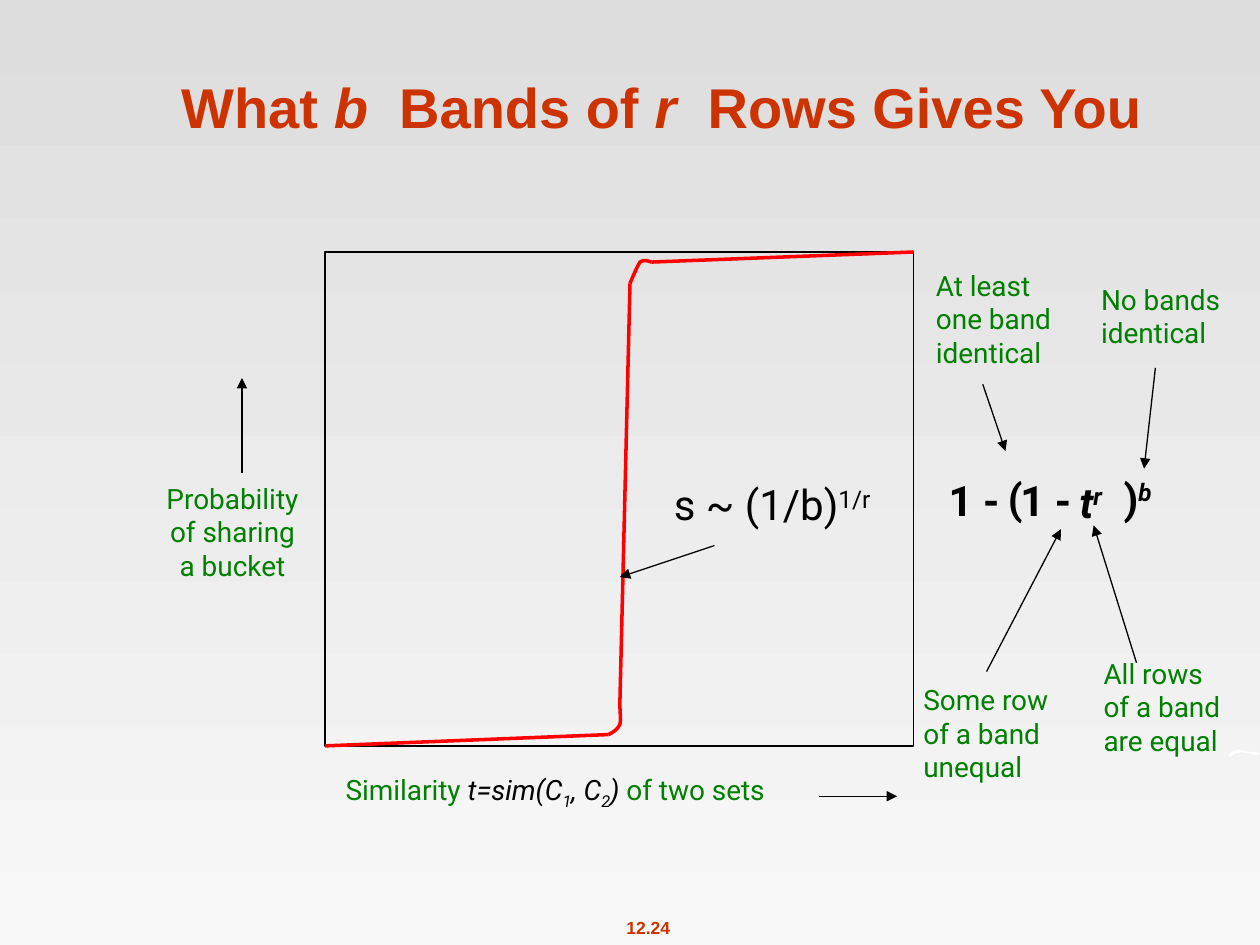
from dataclasses import dataclass

from lxml import etree
from pptx import Presentation
from pptx import util as u
from pptx.dml.color import RGBColor
from pptx.enum import shapes, text
from pptx.oxml.ns import qn

PX = 9144


@dataclass(frozen=True)
class Theme:
    """Colours, fonts and type sizes of the slide."""
    ink: str = "000000"
    accent: str = "CC3300"
    label: str = "008000"
    curve: str = "FF0000"
    white: str = "FFFFFF"
    top: str = "DDDDDD"
    bottom: str = "F8F8F8"
    head: str = "Arial"
    body: str = "Roboto"
    title_pt: int = 32
    formula_pt: int = 24
    label_pt: int = 16
    footer_pt: int = 10
    thin: float = 0.75
    thick: float = 2


T = Theme()
LABEL = dict(font=T.body, size=T.label_pt, color=T.label)
FORMULA = dict(font=T.body, size=T.formula_pt, color=T.ink)
BOLD = dict(FORMULA, bold=True)
HEAD = dict(font=T.head, color=T.accent, bold=True)


def emu(*lengths):
    """Turn px lengths into EMU."""
    return [u.Emu(round(v * PX)) for v in lengths]


def shift(box, x, y):
    """Move a point from a region's own origin to the slide's."""
    return box[0] + x, box[1] + y


def write(p, t, font, size, color, bold=False, italic=False, base=0, gap=0):
    """Add one formatted run; base is a baseline shift in percent, gap is extra pt."""
    r = p.add_run()
    r.text = t
    r.font.name, r.font.size = font, u.Pt(size)
    r.font.bold, r.font.italic = bold, italic
    r.font.color.rgb = RGBColor.from_string(color)
    if base:
        r.font._element.set("baseline", str(base * 1000))
    if gap:
        r.font._element.set("spc", str(round(gap * 100)))


def add_text(s, box, place, paras, fmt, align="LEFT", wrap=False, grow=True,
             anchor="TOP", left=10, top=5):
    """Add a text box whose paragraphs are strings or lists of (text, format) runs."""
    x, y, w, h = place
    tf = s.shapes.add_textbox(*emu(*shift(box, x, y), w, h)).text_frame
    tf.word_wrap = wrap
    tf.auto_size = getattr(text.MSO_AUTO_SIZE, "SHAPE_TO_FIT_TEXT" if grow else "NONE")
    tf.vertical_anchor = getattr(text.MSO_ANCHOR, anchor)
    tf.margin_left, tf.margin_top = emu(left, top)
    for i, runs in enumerate(paras):
        p = tf.add_paragraph() if i else tf.paragraphs[0]
        p.alignment = getattr(text.PP_ALIGN, align)
        for t, extra in [(runs, {})] if isinstance(runs, str) else runs:
            write(p, t, **{**fmt, **extra})


def add_line(s, box, start, end, color=T.ink, width=T.thin, arrow=True):
    """Add a straight connector, by default with an arrowhead at its end."""
    c = s.shapes.add_connector(shapes.MSO_CONNECTOR.STRAIGHT,
                               *emu(*shift(box, *start), *shift(box, *end)))
    c.line.color.rgb = RGBColor.from_string(color)
    c.line.width = u.Pt(width)
    if arrow:
        etree.SubElement(c.line._get_or_add_ln(), qn("a:tailEnd"), type="triangle")
    etree.SubElement(c._element.spPr, qn("a:effectLst"))


def add_outline(s, box, points, close=False):
    """Add a freeform: white when closed, a curve stroke when open."""
    pts = [emu(*shift(box, *pt)) for pt in points]
    fb = s.shapes.build_freeform(*pts[0])
    fb.add_line_segments(pts[1:], close=close)
    sp = fb.convert_to_shape()
    sp.shadow.inherit = False
    if close:
        sp.fill.solid()
        sp.fill.fore_color.rgb = RGBColor.from_string(T.white)
        sp.line.fill.background()
    else:
        sp.fill.background()
        sp.line.color.rgb = RGBColor.from_string(T.curve)
        sp.line.width = u.Pt(T.thick)


def bezier(points, steps=8):
    """Sample a chain of cubic curves given as start, control, control, end, ..."""
    out = [points[0]]
    for k in range(0, len(points) - 1, 3):
        for i in range(1, steps + 1):
            v = i / steps
            weights = ((1 - v) ** 3, 3 * v * (1 - v) ** 2, 3 * v * v * (1 - v), v ** 3)
            out.append(tuple(sum(a * q[d] for a, q in zip(weights, points[k:k + 4]))
                             for d in (0, 1)))
    return out


def draw_title(s, box):
    """Place the heading."""
    italic, space = dict(italic=True), (" ", dict(gap=8.9))
    add_text(s, box, (0, 0, *box[2:]),
             [[("What ", {}), ("b", italic), space, ("Bands of ", {}),
               ("r", italic), space, ("Rows Gives You", {})]],
             dict(HEAD, size=T.title_pt), align="CENTER", wrap=True, grow=False,
             anchor="BOTTOM")


def draw_footer(s, box):
    """Place the page number and the white stroke at the right edge."""
    add_text(s, box, (0, 0, 57, 27), ["12.24"], dict(HEAD, size=T.footer_pt),
             align="CENTER")
    add_outline(s, box, [(489, -122), (490, -125), (493, -127), (497, -128),
                         (502, -127), (507, -126), (511, -126), (514, -125),
                         (513, -124), (510, -124), (505, -125), (500, -126),
                         (494, -125), (491, -123)], close=True)


def draw_plot(s, box):
    """Place the frame, the step curve and its threshold note."""
    w, h = box[2:]
    sp = s.shapes.add_shape(shapes.MSO_SHAPE.RECTANGLE, *emu(*box))
    sp.shadow.inherit = False
    sp.fill.background()
    sp.line.color.rgb = RGBColor.from_string(T.ink)
    sp.line.width = u.Pt(T.thin)
    low = [(225, 383), (229, 381), (232, 379), (234, 375),
           (235, 371), (234, 365), (234, 358)]
    high = [(242, 25), (245, 18), (248, 11), (250, 8),
            (253, 6), (256, 7), (259, 8)]
    for bend in (low, high):
        add_outline(s, box, bezier(bend))
    for start, end in (((0, h), low[0]), (low[-1], high[0]), (high[-1], (w, 0))):
        add_line(s, box, start, end, T.curve, T.thick, arrow=False)
    add_text(s, box, (267, 175, 193, 51),
             [[("s ~ (1/b)", {}), ("1/r", dict(base=30))]], FORMULA)
    add_line(s, box, (309, 233), (234, 258))


def draw_formula(s, box):
    """Place the formula with the four notes pointing at its parts."""
    up = dict(italic=True, base=30)
    terms = [((20, 180, 66, 51), "1 -"), ((67, 178, 35, 51), "("),
             ((77, 180, 66, 51), "1 -"),
             ((124, 181, 51, 51), [("t", dict(italic=True)), ("r", up)]),
             ((159, 178, 56, 51), [(")", {}), ("b", up)])]
    for place, term in terms:
        add_text(s, box, place, [term], BOLD)
    notes = [((10, 16, 123, 100), ["At least", "one band", "identical"],
              (57, 97 + 16), (75, 166), 5),
             ((141, 0, 124, 100), ["No bands", "identical"], (194, 100), (185, 180), 32),
             ((0, 345, 131, 100), ["Some row", "of a band", "unequal"],
              (60, 341), (119, 228), 5),
             ((143, 324, 125, 100), ["All rows", "of a band", "are equal"],
              (179, 334), (145, 225), 5)]
    for place, lines, start, end, top in notes:
        add_text(s, box, place, lines, LABEL, top=top)
        add_line(s, box, start, end)


def draw_axes(s, box):
    """Place the two axis labels and their arrows."""
    var = dict(color=T.ink, italic=True)
    sub = dict(var, base=-25)
    add_text(s, box, (0, 77, 135, 100), ["Probability", "of sharing", "a bucket"],
             LABEL, align="CENTER")
    add_line(s, box, (75, 75), (75, 0))
    add_text(s, box, (67, 308, 475, 40),
             [[("Similarity ", {}), ("t=sim(C", var), ("1", sub), (", C", var),
               ("2", sub), (")", var), (" of two sets", {})]],
             LABEL, align="CENTER", wrap=True, left=48)
    add_line(s, box, (533, 332), (595, 332))


def main():
    """Build and save the slide."""
    prs = Presentation()
    prs.slide_width, prs.slide_height = emu(1000, 750)
    s = prs.slides.add_slide(prs.slide_layouts[6])
    fill = s.background.fill
    fill.gradient()
    fill.gradient_angle = 270
    for stop, color in zip(fill.gradient_stops, (T.top, T.bottom)):
        stop.color.rgb = RGBColor.from_string(color)
    draw_footer(s, (486, 723, 57, 27))
    draw_title(s, (50, 8, 950, 108))
    draw_plot(s, (258, 200, 467, 392))
    draw_formula(s, (723, 192, 268, 445))
    draw_axes(s, (117, 300, 595, 348))
    prs.save("out.pptx")


if __name__ == "__main__":
    main()
